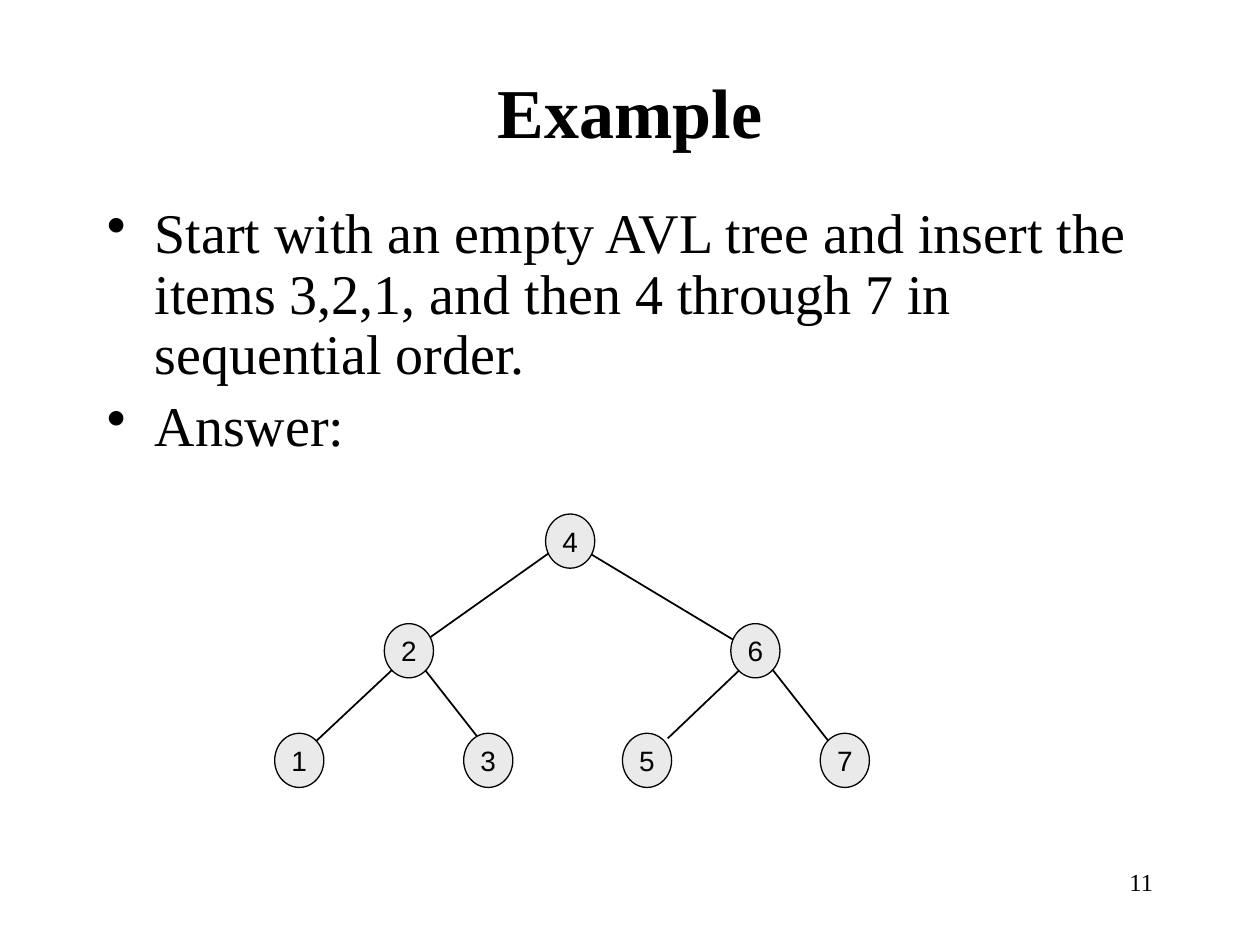
from dataclasses import dataclass

from lxml.etree import SubElement
from pptx import Presentation
from pptx.dml.color import RGBColor
from pptx.enum.shapes import MSO_CONNECTOR as CONN, MSO_SHAPE as SHAPE
from pptx.enum.text import MSO_ANCHOR as ANCHOR, PP_ALIGN as ALIGN
from pptx.oxml.ns import qn
from pptx.util import Inches, Pt

COLORS = {"ink": "000000", "node": "EAEAEA"}
SERIF, SANS = "Times New Roman", "Arial"
NODE_W, NODE_H = 0.39, 0.43
ROOT_TOP, LEVEL_GAP = 4.08, 0.87


@dataclass
class Node:
    key: int
    left: float
    level: int


@dataclass
class Edge:
    x1: float
    y1: float
    x2: float
    y2: float


NODES = [
    Node(4, 4.33, 0),
    Node(2, 3.05, 1), Node(6, 5.8, 1),
    Node(1, 2.18, 2), Node(3, 3.68, 2), Node(5, 4.94, 2), Node(7, 6.51, 2),
]
EDGES = [
    Edge(3.2, 5.21, 4.54, 4.26), Edge(4.46, 4.26, 6.04, 5.21),
    Edge(3.13, 5.3, 2.49, 5.9), Edge(3.36, 5.3, 3.83, 5.9),
    Edge(5.93, 5.26, 5.3, 5.86), Edge(6.12, 5.3, 6.59, 5.9),
]


def rgb(name: str) -> RGBColor:
    """Return the named colour."""
    return RGBColor.from_string(COLORS[name])


def add_bullet(p) -> None:
    """Give a paragraph a hanging bullet and its spacing."""
    p.line_spacing = 0.9
    p.space_before = Pt(6.4)
    pPr = p._p.get_or_add_pPr()
    pPr.set("marL", str(Inches(0.38)))
    pPr.set("indent", str(Inches(-0.38)))
    SubElement(pPr, qn("a:buChar")).set("char", "•")


def write(sp, *lines: str, size: float, font: str = SERIF, bold: bool = False,
          align=ALIGN.LEFT, anchor=ANCHOR.TOP, wrap: bool = True,
          bullets: bool = False) -> None:
    """Fill a shape with formatted paragraphs."""
    tf = sp.text_frame
    tf.word_wrap = wrap
    tf.vertical_anchor = anchor
    for i, line in enumerate(lines):
        p = tf.add_paragraph() if i else tf.paragraphs[0]
        p.alignment = align
        if bullets:
            add_bullet(p)
        r = p.add_run()
        r.text = line
        r.font.name, r.font.size, r.font.bold = font, Pt(size), bold
        r.font.color.rgb = rgb("ink")


def add_box(s, left: float, top: float, width: float, height: float):
    """Add an empty text box."""
    return s.shapes.add_textbox(Inches(left), Inches(top), Inches(width), Inches(height))


def draw_edge(s, edge: Edge) -> None:
    """Draw a branch of the tree."""
    line = s.shapes.add_connector(CONN.STRAIGHT, Inches(edge.x1), Inches(edge.y1),
                                  Inches(edge.x2), Inches(edge.y2))
    line.line.color.rgb = rgb("ink")
    line.line.width = Pt(1)
    SubElement(line._element.spPr, qn("a:effectLst"))


def draw_node(s, node: Node) -> None:
    """Draw a numbered node of the tree."""
    top = ROOT_TOP + node.level * LEVEL_GAP
    sp = s.shapes.add_shape(SHAPE.OVAL, Inches(node.left), Inches(top),
                            Inches(NODE_W), Inches(NODE_H))
    sp.shadow.inherit = False
    sp.fill.solid()
    sp.fill.fore_color.rgb = rgb("node")
    sp.line.color.rgb = rgb("ink")
    sp.line.width = Pt(0.75)
    write(sp, str(node.key), size=16, font=SANS, align=ALIGN.CENTER,
          anchor=ANCHOR.MIDDLE, wrap=False)


def main() -> None:
    """Build the slide and save it."""
    prs = Presentation()
    prs.slide_width, prs.slide_height = Inches(10), Inches(7.5)
    s = prs.slides.add_slide(prs.slide_layouts[6])
    write(add_box(s, 7.17, 6.83, 2.08, 0.5), "11", size=14, align=ALIGN.RIGHT)
    write(add_box(s, 0.75, 0.42, 8.5, 0.92), "Example", size=40, bold=True,
          align=ALIGN.CENTER, anchor=ANCHOR.MIDDLE)
    write(add_box(s, 0.75, 1.58, 8.5, 2.33),
          "Start with an empty AVL tree and insert the items 3,2,1, "
          "and then 4 through 7 in sequential order.",
          "Answer:", size=32, bullets=True)
    for edge in EDGES:
        draw_edge(s, edge)
    for node in NODES:
        draw_node(s, node)
    prs.save("out.pptx")


if __name__ == "__main__":
    main()
